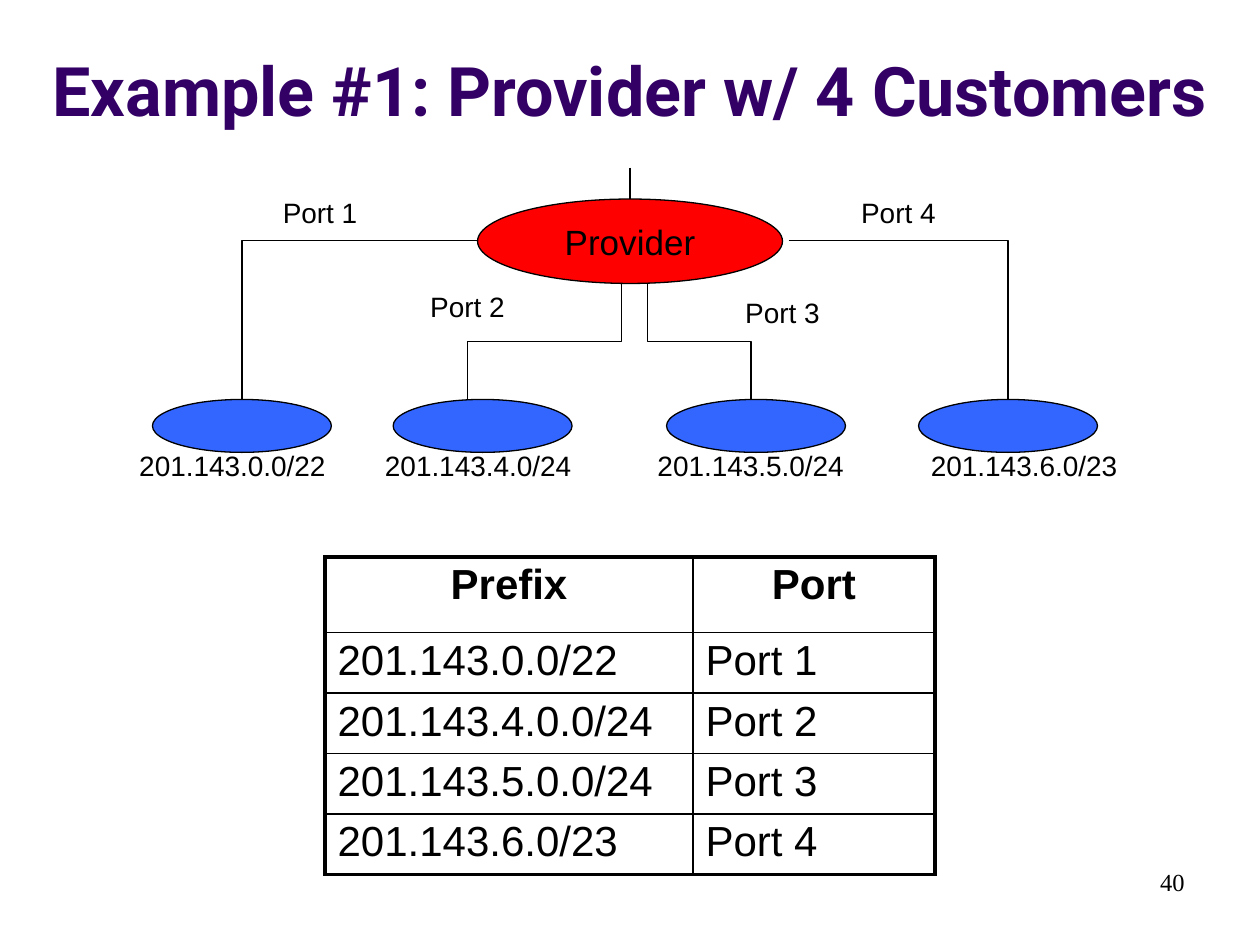
import pptx
import pptx.util
import pptx.dml.color
import pptx.enum.shapes
import pptx.enum.text
import pptx.oxml
import pptx.oxml.ns
import lxml.etree

Inches = pptx.util.Inches
Pt = pptx.util.Pt
Align = pptx.enum.text.PP_ALIGN
Anchor = pptx.enum.text.MSO_ANCHOR
Elbow = pptx.enum.shapes.MSO_CONNECTOR.ELBOW
Straight = pptx.enum.shapes.MSO_CONNECTOR.STRAIGHT

BLACK = "000000"
PROVIDER_RED = "FF0000"
CUSTOMER_BLUE = "3366FF"
TITLE_PURPLE = "330066"

# left of ellipse, left of prefix label, prefix, label alignment
CUSTOMERS = [
    (1.21, 0.98, "201.143.0.0/22", Align.CENTER),
    (3.12, 2.93, "201.143.4.0/24", Align.CENTER),
    (5.29, 5.12, "201.143.5.0/24", Align.LEFT),
    (7.29, 7.29, "201.143.6.0/23", Align.LEFT),
]
PORT_LABELS = [("Port 1", 2.08, 1.5), ("Port 2", 3.25, 2.25),
               ("Port 3", 5.75, 2.3), ("Port 4", 6.67, 1.5)]
ROUTES = [
    ("Prefix", "Port"),
    ("201.143.0.0/22", "Port 1"),
    ("201.143.4.0.0/24", "Port 2"),
    ("201.143.5.0.0/24", "Port 3"),
    ("201.143.6.0/23", "Port 4"),
]


def color(hex_value):
    return pptx.dml.color.RGBColor.from_string(hex_value)


def write(frame, text, size, align, font="Arial", bold=False, ink=BLACK):
    frame.text = text
    paragraph = frame.paragraphs[0]
    paragraph.alignment = align
    run_font = paragraph.runs[0].font
    run_font.name = font
    run_font.size = Pt(size)
    run_font.bold = bold
    run_font.color.rgb = color(ink)


def add_label(slide, box, text, size, align, anchor=Anchor.TOP, **style):
    label = slide.shapes.add_textbox(*map(Inches, box))
    label.text_frame.word_wrap = True
    label.text_frame.vertical_anchor = anchor
    write(label.text_frame, text, size, align, **style)


def add_ellipse(slide, box, fill):
    ellipse = slide.shapes.add_shape(
        pptx.enum.shapes.MSO_SHAPE.OVAL, *map(Inches, box))
    ellipse.shadow.inherit = False
    ellipse.fill.solid()
    ellipse.fill.fore_color.rgb = color(fill)
    ellipse.line.color.rgb = color(BLACK)
    ellipse.line.width = Pt(0.75)
    return ellipse


def add_link(slide, kind, start, end):
    link = slide.shapes.add_connector(kind, *map(Inches, start + end))
    link.line.color.rgb = color(BLACK)
    link.line.width = Pt(0.75)
    lxml.etree.SubElement(link.element.spPr, pptx.oxml.ns.qn("a:effectLst"))
    return link


def add_corner_link(slide, start, end):
    """Runs sideways from start, then turns once down to end."""
    link = add_link(slide, Elbow, start, end)
    link.element.spPr.prstGeom.set("prst", "bentConnector2")


def add_step_link(slide, start, end):
    """Runs down, sideways and down: a sideways elbow turned a quarter."""
    dx, dy = end[0] - start[0], end[1] - start[1]
    center_x, center_y = start[0] + dx / 2, start[1] + dy / 2
    link = add_link(slide, Elbow,
                    (center_x - dy / 2, center_y + dx / 2),
                    (center_x + dy / 2, center_y - dx / 2))
    link.element.spPr.xfrm.set("rot", "5400000")


def add_network(slide, left, top):
    """Draws the provider tree, with its uplink starting at height top."""
    def at(x, y):
        return left + x, top + y

    customer_top = 1.84
    for ellipse_left, label_left, prefix, align in CUSTOMERS:
        add_ellipse(slide, (*at(ellipse_left, customer_top), 1.42, 0.42),
                    CUSTOMER_BLUE)
        add_label(slide, (*at(label_left, customer_top + 0.34), 1.73, 0.37),
                  prefix, 16, align)

    add_corner_link(slide, at(3.84, 0.58), at(1.92, customer_top))
    add_step_link(slide, at(4.93, 0.92), at(3.71, customer_top))
    add_step_link(slide, at(5.14, 0.92), at(5.96, customer_top))
    add_corner_link(slide, at(6.26, 0.58), at(8, customer_top))

    provider = add_ellipse(slide, (*at(3.79, 0.25), 2.42, 0.67), PROVIDER_RED)
    provider.text_frame.word_wrap = False
    provider.text_frame.vertical_anchor = Anchor.MIDDLE
    write(provider.text_frame, "Provider", 20, Align.CENTER)
    add_link(slide, Straight, at(5, 0), at(5, 0.25))

    for port, label_left, label_top in PORT_LABELS:
        add_label(slide, (left + label_left, label_top, 0.92, 0.37),
                  port, 16, Align.CENTER)


def set_borders(cell, widths):
    """Draws the left, right, top and bottom borders, in points."""
    properties = cell._tc.get_or_add_tcPr()
    for index, (side, width) in enumerate(zip("LRTB", widths)):
        border = pptx.oxml.parse_xml(
            f'<a:ln{side} {pptx.oxml.ns.nsdecls("a")} w="{Pt(width)}">'
            f'<a:solidFill><a:srgbClr val="{BLACK}"/></a:solidFill>'
            f'</a:ln{side}>')
        properties.insert(index, border)


def add_routing_table(slide, box):
    row_count, column_count = len(ROUTES), len(ROUTES[0])
    table = slide.shapes.add_table(
        row_count, column_count, *map(Inches, box)).table
    table.first_row = table.horz_banding = False
    for column, width in zip(table.columns, (2.92, 1.92)):
        column.width = Inches(width)
    header_height = 0.6
    route_height = (box[3] - header_height) / (row_count - 1)
    for r, route in enumerate(ROUTES):
        is_header = r == 0
        table.rows[r].height = Inches(header_height if is_header
                                      else route_height)
        for c, text in enumerate(route):
            cell = table.cell(r, c)
            cell.fill.background()
            cell.margin_top = cell.margin_bottom = Inches(0.04)
            write(cell.text_frame, text, 24,
                  Align.CENTER if is_header else Align.LEFT, bold=is_header)
            on_edge = (c == 0, c == column_count - 1,
                       r == 0, r == row_count - 1)
            set_borders(cell, [2.25 if edge else 1 for edge in on_edge])


def main():
    deck = pptx.Presentation()
    deck.slide_width, deck.slide_height = Inches(10), Inches(7.5)
    slide = deck.slides.add_slide(deck.slide_layouts[6])
    add_label(slide, (0, 0.13, 10, 0.95),
              "Example #1: Provider w/ 4 Customers", 39, Align.CENTER,
              Anchor.BOTTOM, font="Roboto", bold=True, ink=TITLE_PURPLE)
    add_label(slide, (7.17, 6.83, 2.33, 0.5), "40", 14, Align.RIGHT,
              font="Times New Roman")
    add_routing_table(slide, (2.58, 4.42, 4.84, 2.48))
    add_network(slide, 0, 1.33)
    deck.save("out.pptx")


if __name__ == "__main__":
    main()
